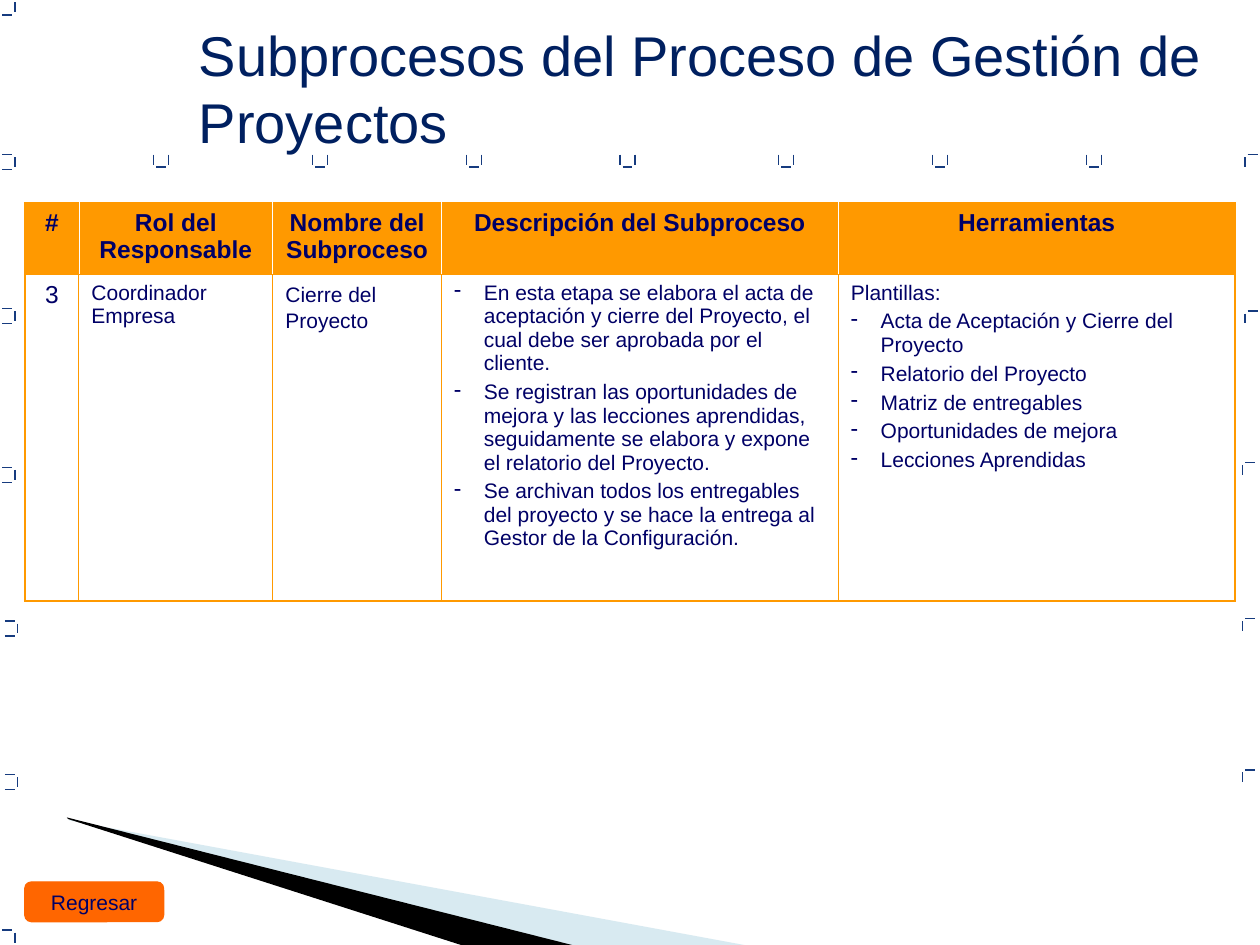
import lxml.etree
import pptx
import pptx.dml.color
import pptx.enum.shapes
import pptx.enum.text
import pptx.oxml
import pptx.oxml.ns
import pptx.util

Cm = pptx.util.Cm
Pt = pptx.util.Pt
qn = pptx.oxml.ns.qn
SHAPES = pptx.enum.shapes.MSO_SHAPE
LEFT = pptx.enum.text.PP_ALIGN.LEFT
CENTER = pptx.enum.text.PP_ALIGN.CENTER
NAVY, ORANGE, WHITE = "000066", "FF9900", "FFFFFF"


def color(value):
    return pptx.dml.color.RGBColor.from_string(value)


def write_text(frame, text, size=12, ink=NAVY, bold=False, align=LEFT, spacing=None, bulleted_from=None):
    for index, line in enumerate(text.split("\n")):
        para = frame.paragraphs[0] if index == 0 else frame.add_paragraph()
        para.alignment = align
        if bulleted_from is not None and index >= bulleted_from:
            properties = para._p.get_or_add_pPr()
            properties.set("marL", str(Cm(0.6)))
            properties.set("indent", str(-Cm(0.6)))
            tint = lxml.etree.SubElement(properties, qn("a:buClr"))
            lxml.etree.SubElement(tint, qn("a:srgbClr"), val=ink)
            lxml.etree.SubElement(properties, qn("a:buChar"), char="-")
        if index:
            para.space_before = Pt(3)
        if spacing:
            para.line_spacing = spacing
        span = para.add_run()
        span.text = line
        span.font.name = "Arial"
        span.font.size = Pt(size)
        span.font.bold = bold
        span.font.color.rgb = color(ink)


deck = pptx.Presentation()
deck.slide_width, deck.slide_height = Cm(25.4), Cm(19.05)
page = deck.slides.add_slide(deck.slide_layouts[6])
page.background.fill.solid()
page.background.fill.fore_color.rgb = color(WHITE)

wedges = [
    ([(1.4, 16.54), (15.11, 19.07), (11.58, 19.07), (1.4, 16.51)], "9FCBDC", 40),
    ([(1.35, 16.48), (11.61, 19.07), (9.45, 19.1), (1.37, 16.51)], "000000", 100),
]
for points, paint, opacity in wedges:
    corners = [(Cm(x), Cm(y)) for x, y in points]
    builder = page.shapes.build_freeform(*corners[0], scale=1.0)
    builder.add_line_segments(corners[1:], close=True)
    wedge = builder.convert_to_shape()
    wedge.shadow.inherit = False
    wedge.fill.solid()
    wedge.fill.fore_color.rgb = color(paint)
    wedge.line.fill.background()
    if opacity < 100:
        tint = wedge._element.spPr.find(".//" + qn("a:srgbClr"))
        lxml.etree.SubElement(tint, qn("a:alpha"), val=str(opacity * 1000))

strokes = {
    "top": (0.05, 0, 0.25, 0),
    "left": (0, 0.05, 0, 0.25),
    "right": (0.3, 0.05, 0.3, 0.25),
    "bottom": (0.05, 0.3, 0.25, 0.3),
}
marks = [(0, 0, ["right", "bottom"]), (0, 18.75, ["top", "right"])]
for x, y in [(0, 3.12), (0, 6.22), (0, 9.42), (0.05, 12.52), (0.05, 15.62)]:
    marks.append((x, y, ["top", "right", "bottom"]))
for x, y in [(25.1, 3.12), (25.1, 6.27), (25.05, 9.32), (25.05, 12.47), (25.05, 15.52)]:
    marks.append((x, y, ["top", "left"]))
for x in [3.1, 6.3, 9.4, 12.5, 15.7, 18.8, 21.9]:
    marks.append((x, 3.07, ["left", "right", "bottom"]))
for x, y, sides in marks:
    for side in sides:
        x1, y1, x2, y2 = strokes[side]
        stroke = page.shapes.add_connector(
            pptx.enum.shapes.MSO_CONNECTOR.STRAIGHT, Cm(x + x1), Cm(y + y1), Cm(x + x2), Cm(y + y2)
        )
        stroke.line.color.rgb = color("163B7F")
        stroke.line.width = Pt(0.75)
        lxml.etree.SubElement(stroke._element.spPr, qn("a:effectLst"))

widths = [1.09, 3.91, 3.4, 8, 8]
heights = [1.45, 6.58]
headers = ["#", "Rol del Responsable", "Nombre del Subproceso", "Descripción del Subproceso", "Herramientas"]
description = """En esta etapa se elabora el acta de aceptación y cierre del Proyecto, el cual debe ser aprobada por el cliente.
Se registran las oportunidades de mejora y las lecciones aprendidas, seguidamente se elabora y expone el relatorio del Proyecto.
Se archivan todos los entregables del proyecto y se hace la entrega al Gestor de la Configuración."""
tools = """Plantillas:
Acta de Aceptación y Cierre del Proyecto
Relatorio del Proyecto
Matriz de entregables
Oportunidades de mejora
Lecciones Aprendidas"""
rows = [
    [(header, dict(size=14, bold=True, align=CENTER)) for header in headers],
    [
        ("3", dict(size=14, align=CENTER)),
        ("Coordinador Empresa", {}),
        ("Cierre del Proyecto", dict(spacing=1.1)),
        (description, dict(bulleted_from=0)),
        (tools, dict(bulleted_from=1)),
    ],
]
table = page.shapes.add_table(
    len(rows), len(widths), Cm(0.5), Cm(4.09), Cm(sum(widths)), Cm(sum(heights))
).table
table.horz_banding = False
for column, width in zip(table.columns, widths):
    column.width = Cm(width)
for row, height in zip(table.rows, heights):
    row.height = Cm(height)
last = len(widths) - 1
for r, row in enumerate(rows):
    inner = (WHITE, 0.45) if r == 0 else (ORANGE, 0.75)
    outer, middle = (ORANGE, 1.08), (ORANGE, 0.75)
    for c, (text, style) in enumerate(row):
        cell = table.cell(r, c)
        write_text(cell.text_frame, text, **style)
        borders = {
            "a:lnL": outer if c == 0 else inner,
            "a:lnR": outer if c == last else inner,
            "a:lnT": outer if r == 0 else middle,
            "a:lnB": middle if r == 0 else outer,
        }
        for tag, (paint, weight) in borders.items():
            border = lxml.etree.SubElement(cell._tc.get_or_add_tcPr(), qn(tag), w=str(Pt(weight)))
            solid = lxml.etree.SubElement(border, qn("a:solidFill"))
            lxml.etree.SubElement(solid, qn("a:srgbClr"), val=paint)
        if r == 0:
            cell.fill.solid()
            cell.fill.fore_color.rgb = color(ORANGE)
        else:
            cell.fill.background()

button = page.shapes.add_shape(SHAPES.FLOWCHART_ALTERNATE_PROCESS, Cm(0.5), Cm(17.78), Cm(2.8), Cm(0.8))
button.shadow.inherit = False
button.fill.solid()
button.fill.fore_color.rgb = color("FF6600")
button.line.color.rgb = color("FF6600")
button.line.width = Pt(0.75)
button.text_frame.word_wrap = False
button.text_frame.vertical_anchor = pptx.enum.text.MSO_ANCHOR.MIDDLE
write_text(button.text_frame, "Regresar", align=CENTER)

title = page.shapes.add_textbox(Cm(3.76), Cm(0.28), Cm(21.13), Cm(2.97))
title.text_frame.word_wrap = True
write_text(title.text_frame, "Subprocesos del Proceso de Gestión de Proyectos", size=32, ink="002060")

deck.save("out.pptx")
